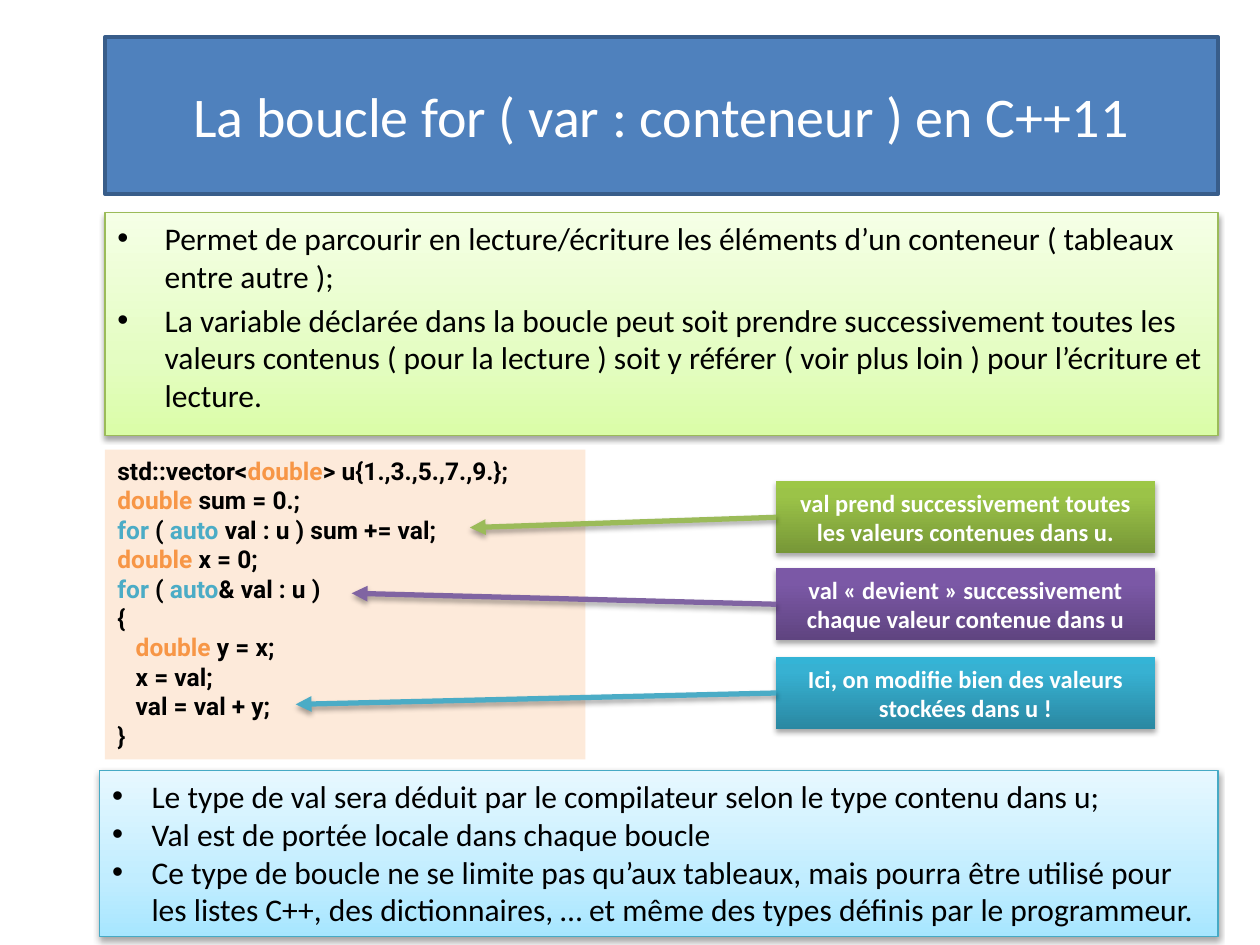
from dataclasses import dataclass

from lxml.etree import SubElement
from pptx import Presentation
from pptx.dml.color import RGBColor
from pptx.enum.shapes import MSO_CONNECTOR, MSO_SHAPE
from pptx.enum.text import MSO_ANCHOR, PP_ALIGN
from pptx.oxml.ns import qn
from pptx.util import Pt


@dataclass(frozen=True)
class Theme:
    font: str = "Calibri"
    mono: str = "Roboto"
    title_size: int = 32
    body_size: int = 18
    small_size: int = 14
    black: str = "000000"
    white: str = "FFFFFF"
    blue: str = "4F81BD"
    navy: str = "385D8A"
    peach: str = "FDEADA"
    orange: str = "F79646"
    green: str = "9BBB59"
    purple: str = "8064A2"
    aqua: str = "4BACC6"
    aqua_edge: str = "46AAC5"
    # Gradient stops run from the bottom edge to the top edge
    pale_green: tuple = ((0, "DAFDA7"), (35, "E4FDC2"), (100, "F5FFE6"))
    pale_aqua: tuple = ((0, "A7E6FF"), (35, "C1EDFF"), (100, "E7F8FF"))
    deep_green: tuple = ((0, "779737"), (80, "9BC348"), (100, "9DC746"))
    deep_purple: tuple = ((0, "5F4480"), (80, "7B58A6"), (100, "7C57A8"))
    deep_aqua: tuple = ((0, "2A88A2"), (80, "37B1D2"), (100, "34B4D6"))


T = Theme()
prs = Presentation()
prs.slide_width, prs.slide_height = Pt(720), Pt(540)
slide = prs.slides.add_slide(prs.slide_layouts[6])


def add_effects(s, shadow=True):
    """Give a shape or connector the soft drop shadow, or none."""
    effects = SubElement(s._element.spPr, qn("a:effectLst"))
    if shadow:
        outer = SubElement(effects, qn("a:outerShdw"), blurRad=str(Pt(3.1)),
                           dist=str(Pt(1.8)), dir="5400000", rotWithShape="0")
        color = SubElement(outer, qn("a:srgbClr"), val=T.black)
        SubElement(color, qn("a:alpha"), val="35000")


def write(paragraphs, at, fill, line=None, width=0.75, size=T.body_size, font=T.font,
          color=T.black, bold=False, align=PP_ALIGN.LEFT, anchor=MSO_ANCHOR.TOP,
          indent=0, gap=0, shadow=True):
    """Add a filled rectangle; a paragraph is a string or a list of (text, colour)."""
    s = slide.shapes.add_shape(MSO_SHAPE.RECTANGLE, *map(Pt, at))
    if isinstance(fill, str):
        s.fill.solid()
        s.fill.fore_color.rgb = RGBColor.from_string(fill)
    else:
        s.fill.gradient()
        s.fill.gradient_angle = 90
        stops = s._element.spPr.find(".//" + qn("a:gsLst"))
        stops.clear()
        for pos, rgb in fill:
            gs = SubElement(stops, qn("a:gs"), pos=str(pos * 1000))
            SubElement(gs, qn("a:srgbClr"), val=rgb)
    if line:
        s.line.color.rgb = RGBColor.from_string(line)
        s.line.width = Pt(width)
    else:
        s.line.fill.background()
    add_effects(s, shadow)

    tf = s.text_frame
    tf.word_wrap = True
    tf.vertical_anchor = anchor
    for i, runs in enumerate(paragraphs):
        p = tf.paragraphs[0] if i == 0 else tf.add_paragraph()
        p.alignment = align
        if i and gap:
            p.space_before = Pt(gap)
        if indent:
            pPr = p._p.get_or_add_pPr()
            pPr.set("marL", str(Pt(indent)))
            pPr.set("indent", str(-Pt(indent)))
            SubElement(pPr, qn("a:buFont"), typeface="Arial")
            SubElement(pPr, qn("a:buChar"), char="•")
        for text, rgb in [(runs, color)] if isinstance(runs, str) else runs:
            r = p.add_run()
            r.text = text
            r.font.name, r.font.size, r.font.bold = font, Pt(size), bold
            r.font.color.rgb = RGBColor.from_string(rgb)
    return s


# Title
write(["La boucle for ( var : conteneur ) en C++11"], (60, 21, 636, 90), T.blue,
      line=T.navy, width=2, size=T.title_size, color=T.white,
      align=PP_ALIGN.CENTER, anchor=MSO_ANCHOR.MIDDLE, shadow=False)

# Introduction
write(["Permet de parcourir en lecture/écriture les éléments d’un conteneur "
       "( tableaux entre autre );",
       "La variable déclarée dans la boucle peut soit prendre successivement toutes les "
       "valeurs contenus ( pour la lecture ) soit y référer ( voir plus loin ) pour "
       "l’écriture et lecture."],
      (60, 121.5, 636, 127.5), T.pale_green, line=T.green, indent=27, gap=3.6)

# Code sample
double, loop, auto = ("double", T.orange), ("for", T.aqua), ("auto", T.aqua)
write([[("std::vector<", T.black), double, ("> u{1.,3.,5.,7.,9.};", T.black)],
       [double, (" sum = 0.;", T.black)],
       [loop, (" ( ", T.black), auto, (" val : u ) sum += val;", T.black)],
       [double, (" x = 0;", T.black)],
       [loop, (" ( ", T.black), auto, ("& val : u )", T.black)],
       "{",
       [("   ", T.black), double, (" y = x;", T.black)],
       "   x = val;",
       "   val = val + y;",
       "}"],
      (60, 257, 274.5, 177), T.peach, size=T.small_size, font=T.mono, bold=True,
      shadow=False)

# Callouts, each with an arrow to its line of code
callouts = [
    ("val prend successivement toutes les valeurs contenues dans u.",
     275, T.deep_green, T.green, (268.5, 301.5)),
    ("val « devient » successivement chaque valeur contenue dans u",
     324.7, T.deep_purple, T.purple, (201, 339)),
    ("Ici, on modifie bien des valeurs stockées dans u !",
     375.4, T.deep_aqua, T.aqua, (169, 402.5)),
]
for text, top, fill, color, (tip_x, tip_y) in callouts:
    s = write([text], (443.5, top, 216.5, 41.2), fill, size=T.small_size, color=T.white,
              bold=True, align=PP_ALIGN.CENTER, anchor=MSO_ANCHOR.MIDDLE)
    arrow = slide.shapes.add_connector(MSO_CONNECTOR.STRAIGHT, s.left,
                                       s.top + s.height // 2, Pt(tip_x), Pt(tip_y))
    arrow.begin_connect(s, 1)
    arrow.line.color.rgb = RGBColor.from_string(color)
    arrow.line.width = Pt(3)
    SubElement(arrow.line._get_or_add_ln(), qn("a:tailEnd"), type="triangle")
    add_effects(arrow)

# Remarks
write(["Le type de val sera déduit par le compilateur selon le type contenu dans u;",
       "Val est de portée locale dans chaque boucle",
       "Ce type de boucle ne se limite pas qu’aux tableaux, mais pourra être utilisé pour "
       "les listes C++, des dictionnaires, … et même des types définis par le programmeur."],
      (57, 440.5, 639, 94.5), T.pale_aqua, line=T.aqua_edge, indent=22.5)

prs.save("out.pptx")
